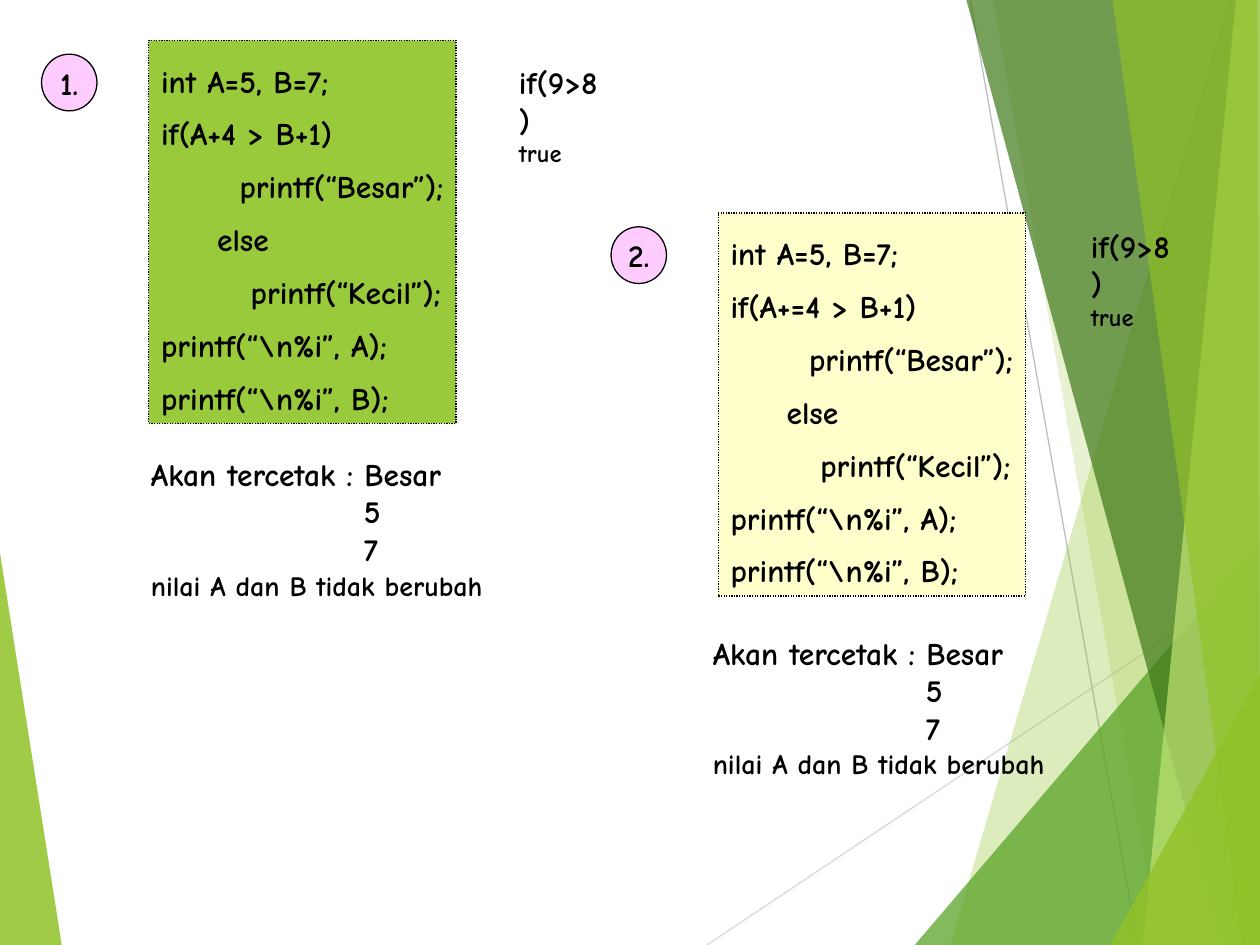
from dataclasses import dataclass

from pptx import Presentation
from pptx import util as u
from pptx.dml.color import RGBColor
from pptx.enum import dml, shapes, text
from pptx.oxml.xmlchemy import OxmlElement

COLUMNS, ROWS = 100, 75
CELL = u.Inches(0.1)
RESULT_INDENT = 16.9


@dataclass(frozen=True)
class Theme:
    font: str = "Comic Neue"
    ink: str = "000000"
    badge: str = "FFCCFF"
    first_code: str = "99CA3C"
    second_code: str = "FFFFCC"
    lime: str = "90C226"
    pale_lime: str = "C0E474"
    green: str = "54A021"
    dark_green: str = "3F7819"
    light_gray: str = "D9D9D9"
    gray: str = "BFBFBF"
    body: int = 18
    remark: int = 16
    small: int = 14
    outline: float = 0.75


THEME = Theme()

LEFT_FACET = (THEME.lime, 85, [(0, 43.9), (4.9, 75), (0, 75)])
RIGHT_FACETS = [
    (THEME.lime, 30, [(97.5, 0), (75.4, 75), (100, 75), (100, 0)]),
    (THEME.lime, 20, [(78.8, 0), (92, 75), (100, 75), (100, 0)]),
    (THEME.green, 72, [(72.6, 75), (100, 42.9), (100, 75)]),
    (THEME.dark_green, 70, [(76.7, 0), (97, 75), (100, 75), (100, 0)]),
    (THEME.pale_lime, 70, [(98.1, 0), (90.7, 75), (100, 75), (100, 0)]),
    (THEME.lime, 65, [(88.3, 0), (98.6, 75), (100, 75), (99.8, 0)]),
    (THEME.lime, 80, [(88.1, 75), (100, 53.5), (100, 75)]),
]
RAYS = [
    (THEME.light_gray, (56.1, 75), (100, 45.7)),
    (THEME.gray, (77, 0), (90.3, 75)),
]
EXAMPLES = [
    dict(number="1.", condition="if(A+4 > B+1)", fill=THEME.first_code,
         badge=(3.3, 4.3), code=(11.8, 3.2), output=(11, 35.6), check=(40.2, 4.5)),
    dict(number="2.", condition="if(A+=4 > B+1)", fill=THEME.second_code,
         badge=(48.5, 18), code=(57, 16.9), output=(55.6, 49.8), check=(85.6, 17.5)),
]


def grid(*cells):
    return [u.Emu(round(cell * CELL)) for cell in cells]


def color(value):
    return RGBColor.from_string(value)


def add_facet(page, fill, opacity, corners):
    points = [grid(*corner) for corner in corners]
    builder = page.shapes.build_freeform(*points[0])
    builder.add_line_segments(points[1:], close=True)
    facet = builder.convert_to_shape()
    facet.shadow.inherit = False
    facet.line.fill.background()
    facet.fill.solid()
    facet.fill.fore_color.rgb = color(fill)
    alpha = OxmlElement("a:alpha")
    alpha.set("val", str(opacity * 1000))
    facet.fill._xPr.find(".//{*}srgbClr").append(alpha)


def add_ray(page, stroke, start, end):
    ray = page.shapes.add_connector(
        shapes.MSO_CONNECTOR.STRAIGHT, *grid(*start), *grid(*end))
    ray.line.color.rgb = color(stroke)
    ray.line.width = u.Pt(THEME.outline)
    ray._element.spPr.append(OxmlElement("a:effectLst"))


def add_panel(page, kind, place, size, fill):
    panel = page.shapes.add_shape(kind, *grid(*place), *grid(*size))
    panel.shadow.inherit = False
    panel.fill.solid()
    panel.fill.fore_color.rgb = color(fill)
    panel.line.color.rgb = color(THEME.ink)
    panel.line.width = u.Pt(THEME.outline)
    return panel


def write(box, lines, align=text.PP_ALIGN.LEFT, spacing=None, anchor=text.MSO_ANCHOR.TOP):
    frame = box.text_frame
    frame.word_wrap = False
    frame.vertical_anchor = anchor
    for index, (words, size, indent) in enumerate(lines):
        para = frame.add_paragraph() if index else frame.paragraphs[0]
        para.text = words
        para.alignment = align
        para.line_spacing = spacing
        if indent:
            para._p.get_or_add_pPr().set("marL", str(grid(indent)[0]))
        para.font.name = THEME.font
        para.font.size = u.Pt(size)
        para.font.bold = True
        para.font.color.rgb = color(THEME.ink)


def add_badge(page, place, number):
    badge = add_panel(page, shapes.MSO_SHAPE.OVAL, place, (4.4, 4.5), THEME.badge)
    write(badge, [(number, THEME.body, 0)], text.PP_ALIGN.CENTER,
          anchor=text.MSO_ANCHOR.MIDDLE)


def add_code(page, place, condition, fill):
    panel = add_panel(page, shapes.MSO_SHAPE.RECTANGLE, place, (24.4, 30.4), fill)
    panel.line.dash_style = dml.MSO_LINE.ROUND_DOT
    code = [
        "int A=5, B=7;",
        condition,
        "       printf(“Besar”);",
        "     else",
        "        printf(“Kecil”);",
        "printf(“\\n%i”, A);",
        "printf(“\\n%i”, B);",
    ]
    write(panel, [(line, THEME.body, 0) for line in code], spacing=1.4)


def add_label(page, place, size, lines):
    write(page.shapes.add_textbox(*grid(*place), *grid(*size)), lines)


def add_example(page, number, condition, fill, badge, code, output, check):
    add_badge(page, badge, number)
    add_code(page, code, condition, fill)
    add_label(page, output, (28.3, 12.7), [
        ("Akan tercetak : Besar", THEME.body, 0),
        ("5", THEME.body, RESULT_INDENT),
        ("7", THEME.body, RESULT_INDENT),
        ("nilai A dan B tidak berubah", THEME.remark, 0),
    ])
    add_label(page, check, (9.1, 6.4), [
        ("if(9>8)", THEME.body, 0),
        ("true", THEME.small, 0),
    ])


def main():
    deck = Presentation()
    deck.slide_width, deck.slide_height = grid(COLUMNS, ROWS)
    page = deck.slides.add_slide(deck.slide_layouts.get_by_name("Blank"))
    add_facet(page, *LEFT_FACET)
    for ray in RAYS:
        add_ray(page, *ray)
    for facet in RIGHT_FACETS:
        add_facet(page, *facet)
    for example in EXAMPLES:
        add_example(page, **example)
    deck.save("out.pptx")


if __name__ == "__main__":
    main()
